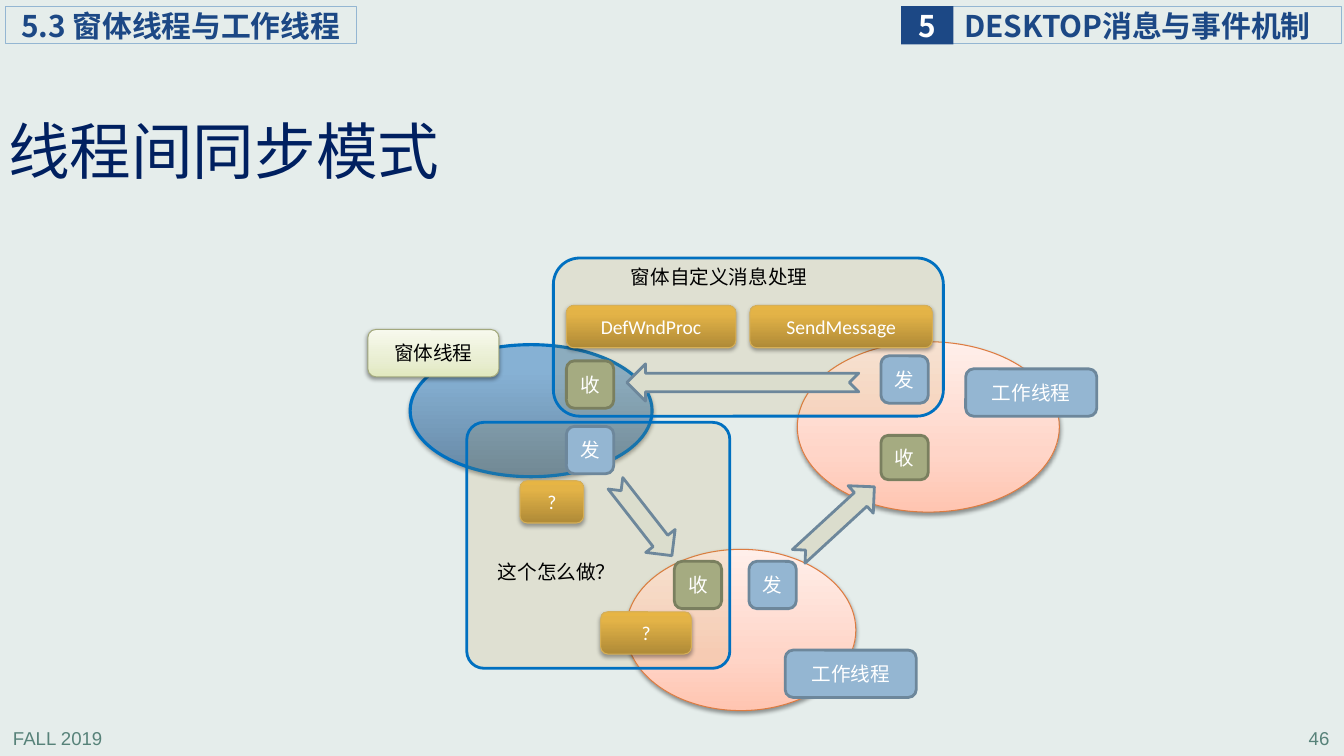
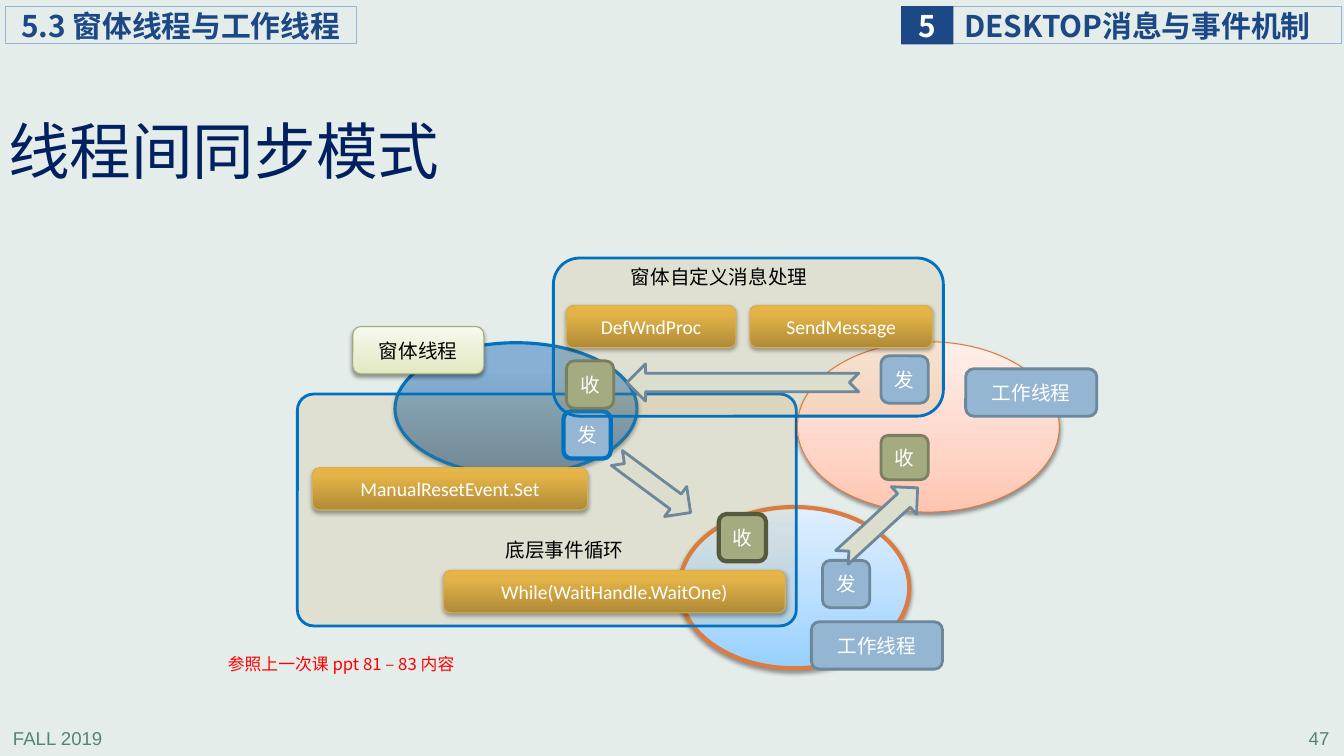
from collections import namedtuple

from lxml import etree
from pptx import Presentation
from pptx.dml.color import RGBColor
from pptx.enum import shapes as kinds, text as t
from pptx.oxml import ns
from pptx.util import Pt

PALE = RGBColor(0xE5, 0xED, 0xEB)
NAVY = RGBColor(0x00, 0x20, 0x60)
HEADER_BLUE = RGBColor(0x1C, 0x48, 0x85)
FOOTER_GREEN = RGBColor(0x57, 0x82, 0x79)
WHITE = RGBColor(0xFF, 0xFF, 0xFF)
BLACK = RGBColor(0x00, 0x00, 0x00)
RED = RGBColor(0xFF, 0x00, 0x00)
BLUE = RGBColor(0x00, 0x70, 0xC0)
SKY = RGBColor(0x94, 0xB6, 0xD2)
SLATE = RGBColor(0x6D, 0x87, 0x9B)
SAGE = RGBColor(0xA5, 0xAB, 0x81)
OLIVE = RGBColor(0x7A, 0x7F, 0x5F)
DARK_OLIVE = RGBColor(0x56, 0x5A, 0x3C)
LEAF = RGBColor(0xA2, 0xA8, 0x7D)
OCHRE = RGBColor(0xBA, 0x8F, 0x2D)
GOLD = RGBColor(0xD6, 0xAF, 0x57)
ORANGE = RGBColor(0xDC, 0x7C, 0x42)
STONE = RGBColor(0xDB, 0xDD, 0xCD)

PEACH_FADE = [(0, "FFC5B1"), (35, "FFD5C8"), (100, "FFEFEA")]
ICE_FADE = [(0, "96D0FF"), (50, "BFE1FF"), (100, "E0EFFF")]
BLUE_FADE = [(0, "6788A4"), (80, "86B1D4"), (100, "86B2D7")]
CREAM_FADE = [(0, "E1E8BF"), (35, "E9EED2"), (100, "F7F9ED")]
GOLD_FADE = [(0, "AF8A37"), (80, "E3B347"), (100, "E7B544")]

CJK = "Noto Sans CJK SC"
RECT = kinds.MSO_SHAPE.RECTANGLE
ROUND = kinds.MSO_SHAPE.ROUNDED_RECTANGLE
OVAL = kinds.MSO_SHAPE.OVAL
NOTCHED = kinds.MSO_SHAPE.NOTCHED_RIGHT_ARROW
LEFT, CENTER, RIGHT = t.PP_ALIGN.LEFT, t.PP_ALIGN.CENTER, t.PP_ALIGN.RIGHT
TOP, MIDDLE = t.MSO_ANCHOR.TOP, t.MSO_ANCHOR.MIDDLE

Style = namedtuple(
    "Style",
    "preset fill line weight shade alpha corner ink size latin bold align anchor insets spacing",
    defaults=(None, None, None, 2, 0, 100, None, WHITE, 14, CJK, False,
              CENTER, MIDDLE, (7.2, 3.6, 7.2, 3.6), None),
)

SECTION = Style(RECT, line=SKY, weight=0.75, ink=HEADER_BLUE, size=21.3,
                bold=True, align=LEFT, insets=(11.5, 0, 0, 0))
CHAPTER = SECTION._replace(insets=(8.6, 0, 0, 0))
CHAPTER_NUMBER = SECTION._replace(fill=HEADER_BLUE, line=None, ink=WHITE,
                                  align=CENTER, insets=(0, 0, 0, 0))
TERM = Style(ink=FOOTER_GREEN, size=13.3, latin="Arial", align=LEFT, anchor=TOP)
PAGE = TERM._replace(align=RIGHT)
TITLE = Style(ink=NAVY, size=44, align=LEFT, insets=(5.8, 2.9, 5.8, 2.9), spacing=0.9)
CAPTION = Style(ink=BLACK, align=LEFT, anchor=TOP)
REMARK = CAPTION._replace(ink=RED, size=12, align=CENTER)

WORKER = Style(OVAL, PEACH_FADE, ORANGE, 0.75, shade=38)
WAITING_WORKER = WORKER._replace(fill=ICE_FADE, weight=3)
WINDOW = Style(OVAL, BLUE_FADE, BLUE, 2.25, shade=35)
MESSAGE_FRAME = Style(ROUND, OCHRE, BLUE, alpha=13)
EVENT_FRAME = MESSAGE_FRAME._replace(corner=0.07)
ARROW = Style(NOTCHED, STONE, SLATE)
SEND = Style(ROUND, SKY, SLATE)
SEND_MARKED = SEND._replace(line=BLUE, weight=3)
RECEIVE = Style(ROUND, SAGE, OLIVE)
RECEIVE_MARKED = RECEIVE._replace(line=DARK_OLIVE, weight=3)
CALL = Style(ROUND, GOLD_FADE, GOLD, 0.75, shade=35, latin="Calibri")
WINDOW_TAG = Style(ROUND, CREAM_FADE, LEAF, 0.75, shade=38, ink=BLACK)

ICON = (33.8, 33.8)
TAG = (93.6, 33.8)
LOWER_WORKER = (164.2, 115.2)
WINDOW_SIZE = (172.8, 94.3)
SHORT_ARROW = (65.5, 26.6)
REPLY_ARROW = (73.4, 26.6)
CALL_HEIGHT = 30.2


def write(shape, words, style):
    frame = shape.text_frame
    frame.text = words
    frame.word_wrap = True
    frame.vertical_anchor = style.anchor
    (frame.margin_left, frame.margin_top,
     frame.margin_right, frame.margin_bottom) = map(Pt, style.insets)
    line = frame.paragraphs[0]
    line.alignment = style.align
    line.line_spacing = style.spacing
    font = line.runs[0].font
    font.size = Pt(style.size)
    font.bold = style.bold
    font.color.rgb = style.ink
    font.name = style.latin
    etree.SubElement(line.runs[0]._r.rPr, ns.qn("a:ea"), typeface=CJK)


def add_part(slide, style, place, size, words="", turn=0):
    box = [Pt(n) for n in (*place, *size)]
    if style.preset is None:
        write(slide.shapes.add_textbox(*box), words, style)
        return
    shape = slide.shapes.add_shape(style.preset, *box)
    shape.rotation = turn
    shape.shadow.inherit = False
    if style.corner:
        shape.adjustments[0] = style.corner
    if style.fill is None:
        shape.fill.background()
    elif isinstance(style.fill, list):
        shape.fill.gradient()
        shape.fill.gradient_angle = 90
        stops = shape._element.spPr.find(ns.qn("a:gradFill")).find(ns.qn("a:gsLst"))
        for stop in list(stops):
            stops.remove(stop)
        for position, colour in style.fill:
            stop = etree.SubElement(stops, ns.qn("a:gs"), pos=str(position * 1000))
            etree.SubElement(stop, ns.qn("a:srgbClr"), val=colour)
    else:
        shape.fill.solid()
        shape.fill.fore_color.rgb = style.fill
        if style.alpha < 100:
            tint = shape._element.spPr.find(ns.qn("a:solidFill"))[0]
            etree.SubElement(tint, ns.qn("a:alpha"), val=str(style.alpha * 1000))
    if style.line is None:
        shape.line.fill.background()
    else:
        shape.line.color.rgb = style.line
        shape.line.width = Pt(style.weight)
    if style.shade:
        effects = shape._element.spPr.find(ns.qn("a:effectLst"))
        shadow = etree.SubElement(effects, ns.qn("a:outerShdw"), blurRad=str(Pt(3.1)),
                                  dist=str(Pt(1.7)), dir="5400000", rotWithShape="0")
        dark = etree.SubElement(shadow, ns.qn("a:srgbClr"), val="000000")
        etree.SubElement(dark, ns.qn("a:alpha"), val=str(style.shade * 1000))
    if words:
        write(shape, words, style)


heading = [
    (TERM, (2.2, 515.5), (200, 22.3), "FALL 2019"),
    (CHAPTER, (680.4, 5), (277.9, 25.9), "DESKTOP消息与事件机制"),
    (CHAPTER_NUMBER, (643.7, 4.3), (37.4, 27.4), "5"),
    (SECTION, (3.6, 5), (251.3, 25.9), "5.3 窗体线程与工作线程"),
    (TITLE, (0, 83.5), (348.5, 53.3), "线程间同步模式"),
]

message_passing = [
    (WORKER, (569.5, 244.1), (187.2, 121.7)),
    (MESSAGE_FRAME, (395.3, 184.3), (278.6, 113)),
    (ARROW, (447.8, 259.9), (165.6, 26.6), "", 180),
    (CALL, (535.7, 218.2), (130.3, CALL_HEIGHT), "SendMessage"),
    (CALL, (404.6, 218.2), (121, CALL_HEIGHT), "DefWndProc"),
    (SEND, (689.8, 263.5), TAG, "工作线程"),
    (SEND, (629.3, 254.2), ICON, "发"),
    (RECEIVE, (404.6, 257.8), ICON, "收"),
    (RECEIVE, (629.3, 311), (33.8, 31.7), "收"),
    (CAPTION, (443.5, 185.8), (177.8, 28.8), "窗体自定义消息处理"),
]

open_question = [
    (WORKER, (447.1, 392.4), LOWER_WORKER),
    (WINDOW, (293, 246.2), WINDOW_SIZE),
    (EVENT_FRAME, (333.4, 301.7), (187.9, 175.7)),
    (SEND, (560.9, 464.4), TAG, "工作线程"),
    (WINDOW_TAG, (262.8, 235.4), TAG, "窗体线程"),
    (SEND, (404.6, 304.6), ICON, "发"),
    (ARROW, (427, 357.8), SHORT_ARROW, "", 52),
    (RECEIVE, (481.7, 401), ICON, "收"),
    (CALL, (371.5, 343.4), (45.4, CALL_HEIGHT), "?"),
    (CALL, (429.1, 437), (64.8, CALL_HEIGHT), "?"),
    (CAPTION, (348.5, 396.7), (124.6, 28.8), "这个怎么做？"),
]
open_reply = [
    (SEND, (535, 401), ICON, "发"),
    (ARROW, (560.9, 359.3), REPLY_ARROW, "", 317.4),
]

event_loop = [
    (WAITING_WORKER, (485.3, 362.2), LOWER_WORKER),
    (WINDOW, (282.2, 244.8), WINDOW_SIZE),
    (EVENT_FRAME, (212.4, 281.5), (356.4, 165.6)),
    (SEND, (579.6, 444.2), TAG, "工作线程"),
    (WINDOW_TAG, (252, 233.3), TAG, "窗体线程"),
    (SEND_MARKED, (402.5, 293.8), ICON, "发"),
    (ARROW, (434.2, 333.4), SHORT_ARROW, "", 36.5),
    (RECEIVE_MARKED, (513.4, 367.2), ICON, "收"),
    (CALL, (223.2, 334.1), (196.6, CALL_HEIGHT), "ManualResetEvent.Set"),
    (CALL, (316.8, 407.5), (244.1, CALL_HEIGHT), "While(WaitHandle.WaitOne)"),
    (CAPTION, (354.2, 380.9), (124.6, 28.8), "底层事件循环"),
]
event_reply = [
    (SEND, (587.5, 400.3), ICON, "发"),
    (ARROW, (591.8, 360), REPLY_ARROW, "", 317.4),
    (REMARK, (133.2, 463.7), (221, 21.6), "参照上一次课 ppt 81 – 83 内容"),
]

deck = Presentation()
deck.slide_width, deck.slide_height = Pt(960), Pt(540)

for number, synchronisation, reply in (
    ("46", open_question, open_reply),
    ("47", event_loop, event_reply),
):
    slide = deck.slides.add_slide(deck.slide_layouts[6])
    slide.background.fill.solid()
    slide.background.fill.fore_color.rgb = PALE
    page = [(PAGE, (756.7, 515.5), (200, 22.3), number)]
    for part in heading + page + synchronisation + message_passing + reply:
        add_part(slide, *part)

deck.save("out.pptx")
